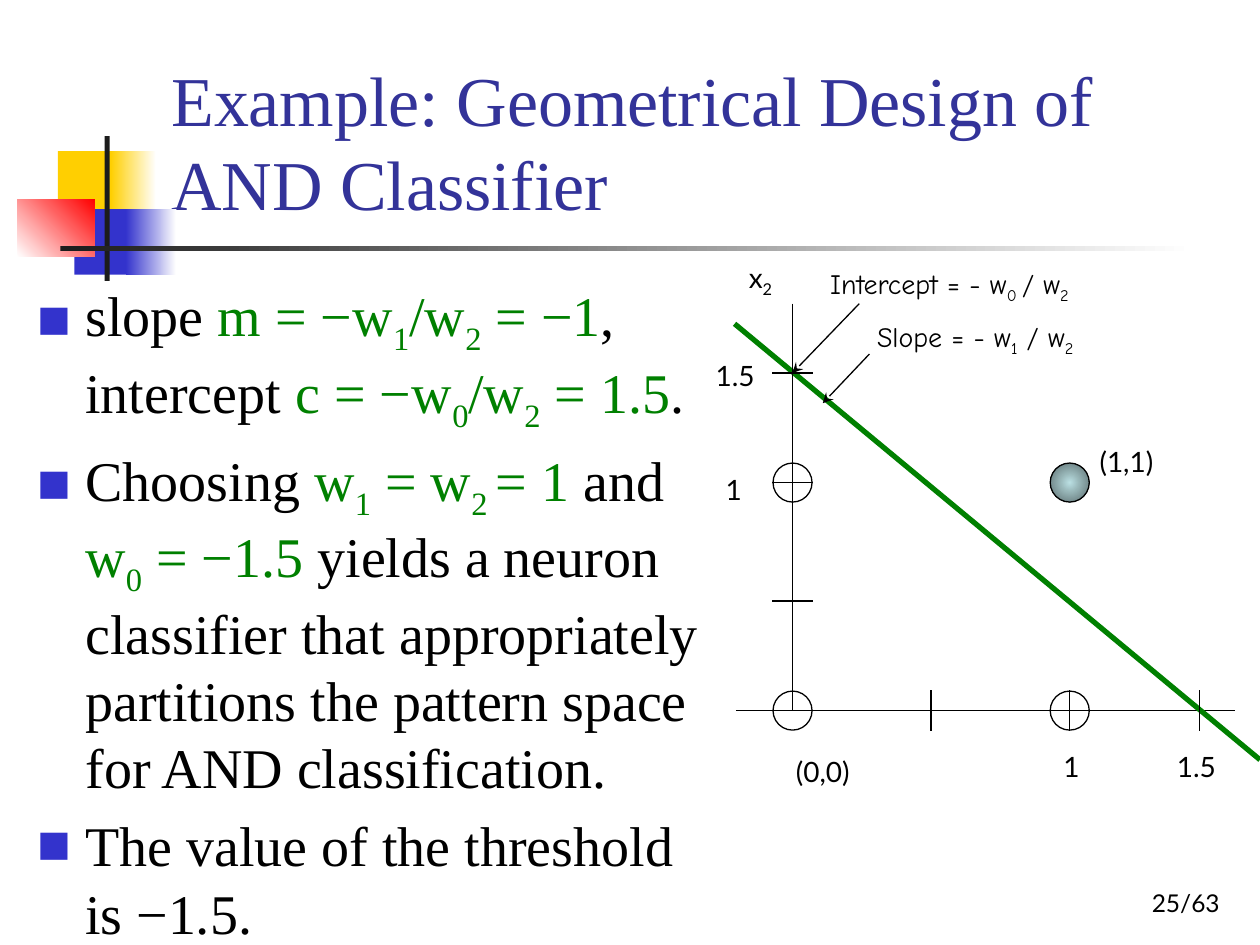
from lxml.etree import SubElement
from pptx import Presentation
from pptx.dml.color import RGBColor
from pptx.enum.shapes import MSO_CONNECTOR, MSO_SHAPE
from pptx.enum.text import MSO_ANCHOR, MSO_AUTO_SIZE, PP_ALIGN
from pptx.oxml import parse_xml
from pptx.oxml.ns import nsdecls, qn
from pptx.util import Inches, Pt

SERIF, SANS, HAND = "Times New Roman", "Lato", "Comic Neue"
BLACK, WHITE, GREEN, BLUE = "000000", "FFFFFF", "008000", "3333CC"
YELLOW, RED, DARK, NAVY = "FFCF01", "FF0000", "1C1C1C", "333399"


def rgb(value):
    return RGBColor.from_string(value)


def write(p, text, font=SERIF, size=32, color=BLACK, italic=None):
    """Add runs to p; text between bars is set as a subscript."""
    for i, part in enumerate(text.split("|")):
        if part:
            r = p.add_run()
            r.text = part
            r.font.name, r.font.size, r.font.italic = font, Pt(size), italic
            r.font.color.rgb = rgb(color)
            if i % 2:
                r.font._element.set("baseline", "-25000")


def add_text(s, box, text, align=PP_ALIGN.CENTER, anchor=MSO_ANCHOR.TOP, **fmt):
    tf = s.shapes.add_textbox(*map(Inches, box)).text_frame
    tf.word_wrap = False
    tf.vertical_anchor = anchor
    p = tf.paragraphs[0]
    p.alignment = align
    write(p, text, **fmt)


def add_shape(s, kind, box, colors=(), angle=0, line=None):
    """One colour gives a solid fill, two a gradient, none no fill."""
    sp = s.shapes.add_shape(kind, *map(Inches, box))
    sp.shadow.inherit = False
    if len(colors) == 2:
        sp.fill.gradient()
        sp.fill.gradient_angle = angle
        for stop, color, position in zip(sp.fill.gradient_stops, colors, (0, 1)):
            stop.color.rgb = rgb(color)
            stop.position = position
    elif colors:
        sp.fill.solid()
        sp.fill.fore_color.rgb = rgb(colors[0])
    else:
        sp.fill.background()
    if line:
        sp.line.color.rgb = rgb(line)
        sp.line.width = Pt(0.75)
    else:
        sp.line.fill.background()
    return sp


def add_line(s, x1, y1, x2, y2, color=BLACK, width=0.75, arrow=False):
    c = s.shapes.add_connector(MSO_CONNECTOR.STRAIGHT, *map(Inches, (x1, y1, x2, y2)))
    c.line.color.rgb = rgb(color)
    c.line.width = Pt(width)
    spPr = c._element.spPr
    if arrow:
        SubElement(spPr.find(qn("a:ln")), qn("a:tailEnd"), type="stealth")
    SubElement(spPr, qn("a:effectLst"))


def add_ornament(s, x, y):
    blocks = [
        (0.32, 0.12, 0.48, 0.52, (YELLOW,), 0),
        (0.74, 0.12, 0.36, 0.52, (YELLOW, WHITE), 0),
        (0.45, 0.58, 0.46, 0.52, (BLUE,), 0),
        (0.86, 0.58, 0.4, 0.52, (BLUE, WHITE), 0),
        (0, 0.5, 0.61, 0.46, (WHITE, RED), 45),
        (0.69, 0, 0.04, 1.15, (DARK,), 0),
        (0.34, 0.87, 9, 0.04, (DARK, WHITE), 0),
    ]
    for dx, dy, w, h, colors, angle in blocks:
        add_shape(s, MSO_SHAPE.RECTANGLE, (x + dx, y + dy, w, h), colors, angle)


def add_title(s, box, text):
    title = s.shapes.title
    title.left, title.top, title.width, title.height = map(Inches, box)
    tf = title.text_frame
    tf.auto_size = MSO_AUTO_SIZE.NONE
    tf.vertical_anchor = MSO_ANCHOR.BOTTOM
    p = tf.paragraphs[0]
    p.alignment = PP_ALIGN.LEFT
    write(p, text, size=40, color=NAVY)


def add_bullet(p):
    pPr = p._p.get_or_add_pPr()
    pPr.set("marL", str(Inches(0.38)))
    pPr.set("indent", str(-Inches(0.38)))
    color = SubElement(pPr, qn("a:buClr"))
    SubElement(color, qn("a:srgbClr"), val=BLUE)
    SubElement(pPr, qn("a:buFont"), typeface=SERIF)
    SubElement(pPr, qn("a:buChar"), char="■")


def add_body(s, box, bullets):
    tf = s.shapes.add_textbox(*map(Inches, box)).text_frame
    tf.word_wrap = True
    for i, parts in enumerate(bullets):
        p = tf.add_paragraph() if i else tf.paragraphs[0]
        add_bullet(p)
        if i:
            p.space_before = Pt(6.4)
        for text, fmt in parts:
            write(p, text, **fmt)


def add_plot(s, x, y):
    """Draw the pattern space with the top left corner of its box at x, y."""
    x0, x1, y0, y1 = x + 0.71, x + 2.91, y + 3.62, y + 1.81
    x_half, x_end, y_half, y_end = x + 1.81, x + 3.94, y + 2.75, y + 0.94
    tick, radius = 0.16, 0.155

    add_line(s, x + 0.26, y0, x + 4.22, y0)
    add_line(s, x + 0.25, y + 0.55, x + 4.42, y + 4.01, GREEN, 3)
    add_line(s, x0, y + 0.39, x0, y0)
    for tx in (x_half, x1, x_end):
        add_line(s, tx, y0 - tick, tx, y0 + tick)
    for ty in (y_half, y1, y_end):
        add_line(s, x0 - tick, ty, x0 + tick, ty)

    for cx, cy, colors in ((x0, y1, ()), (x1, y0, ()), (x0, y0, ()),
                           (x1, y1, ("BBE0E3", "576869"))):
        dot = add_shape(s, MSO_SHAPE.OVAL,
                        (cx - radius, cy - radius, 2 * radius, 2 * radius),
                        colors, line=BLACK)
    grad = dot._element.spPr.find(qn("a:gradFill"))
    grad.replace(grad.find(qn("a:lin")), parse_xml(
        f'<a:path {nsdecls("a")} path="circle">'
        '<a:fillToRect l="50000" t="50000" r="50000" b="50000"/></a:path>'))

    labels = [
        (0.24, 3.92, 1.42, "(0,0)", SANS),
        (2.76, 3.88, 0.32, "1", SANS),
        (3.66, 3.88, 0.51, "1.5", SANS),
        (0, 0.78, 0.51, "1.5", SANS),
        (0.08, 1.68, 0.32, "1", SANS),
        (0.26, 0, 0.39, "x|2|", SANS),
        (3.02, 1.46, 0.68, "(1,1)", SANS),
        (0.5, 0.05, 2.91, "Intercept = - w|0 |/ w|2|", HAND),
        (1.02, 0.47, 2.28, "Slope = - w|1| / w|2|", HAND),
    ]
    for dx, dy, w, text, font in labels:
        add_text(s, (x + dx, y + dy, w, 0.37), text, font=font, size=16)
    add_line(s, x + 1.24, y + 0.39, x0, y_end, arrow=True)
    add_line(s, x + 1.32, y + 0.79, x + 0.95, y + 1.18, arrow=True)


def main():
    prs = Presentation()
    prs.slide_width, prs.slide_height = Inches(10), Inches(7.5)
    s = prs.slides.add_slide(prs.slide_layouts[5])
    plain, math = {}, {"color": GREEN}
    bullets = [
        [("slope ", plain), ("m = −w|1|/w|2| = −1", math), (", intercept ", plain),
         ("c = −w|0|/w|2| = 1.5", math), (".", plain)],
        [("Choosing ", plain), ("w|1| = w|2 |= 1", math), (" and ", plain),
         ("w|0| = −1.5", math),
         (" yields a neuron classifier that appropriately partitions "
          "the pattern space for AND classification.", plain)],
        [("The value of the threshold is −1", plain), (".", {"italic": True}),
         ("5.", plain)],
    ]
    add_ornament(s, 0.14, 1.08)
    add_title(s, (1.26, 0.23, 8.52, 1.6), "Example: Geometrical Design of AND Classifier")
    add_body(s, (0.2, 2.18, 5.59, 5.32), bullets)
    add_plot(s, 5.58, 2.02)
    add_text(s, (7.7, 6.83, 2.08, 0.5), "25/63", PP_ALIGN.RIGHT, MSO_ANCHOR.BOTTOM,
             font=SANS, size=14)
    prs.save("out.pptx")


if __name__ == "__main__":
    main()
